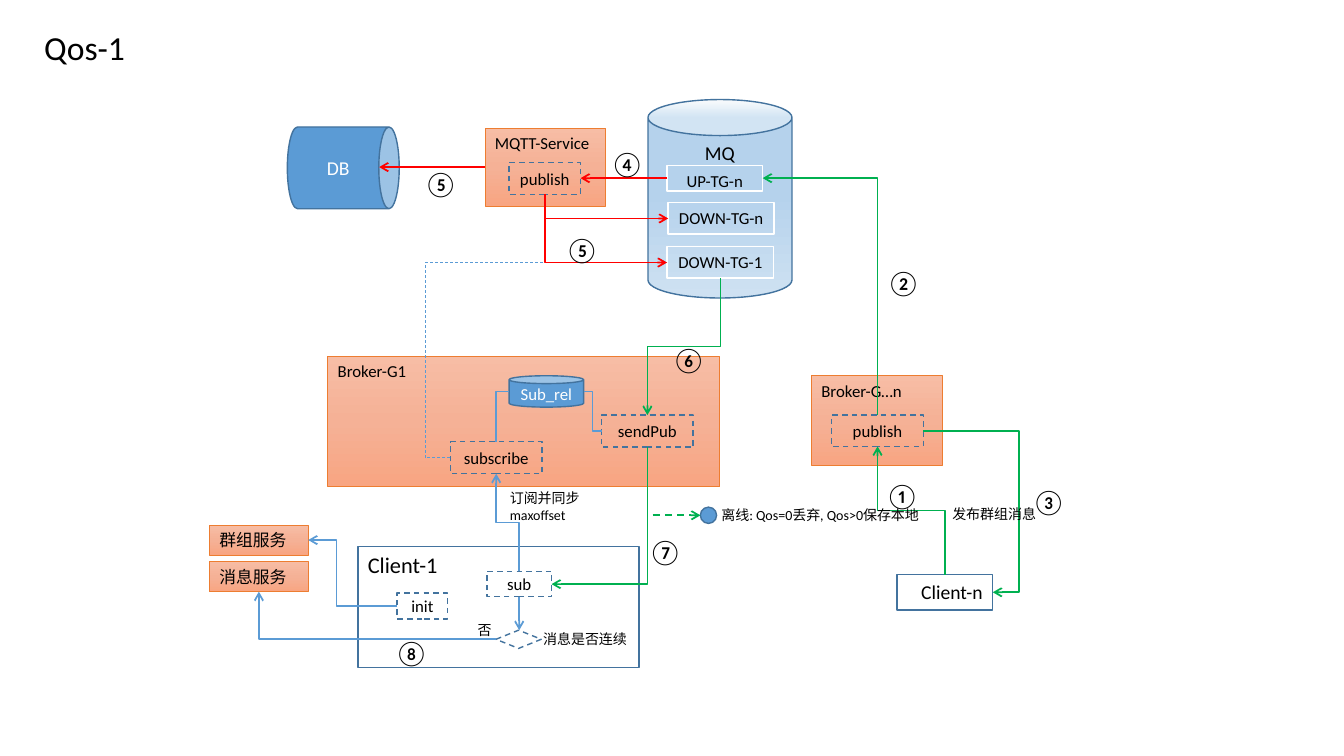
import dataclasses

import lxml.etree
import pptx
import pptx.dml.color
import pptx.enum.dml
import pptx.enum.shapes
import pptx.enum.text
import pptx.oxml.ns
import pptx.util

Cm = pptx.util.Cm
Pt = pptx.util.Pt
qn = pptx.oxml.ns.qn
Kind = pptx.enum.shapes.MSO_SHAPE
Link = pptx.enum.shapes.MSO_CONNECTOR
Align = pptx.enum.text.PP_ALIGN
Anchor = pptx.enum.text.MSO_ANCHOR
DASH = pptx.enum.dml.MSO_LINE.DASH
TOP, LEFT, BASE, RIGHT = (0.5, 0), (0, 0.5), (0.5, 1), (1, 0.5)


@dataclasses.dataclass(frozen=True)
class Theme:
    font: str = "Calibri"
    ink: str = "000000"
    white: str = "FFFFFF"
    blue: str = "5B9BD5"
    navy: str = "43739E"
    rust: str = "ED7D31"
    red: str = "FF0000"
    green: str = "00B050"
    peach: tuple = ((0, "F7BDA5"), (50, "F5B196"), (100, "F8A582"))
    sky: tuple = ((0, "F7FAFD"), (9, "B5D2EC"), (47, "B5D2EC"), (100, "CEE1F2"))
    title: int = 24
    mark: int = 18
    head: int = 16
    large: int = 14
    body: int = 12
    note: int = 10


T = Theme()


@dataclasses.dataclass
class Style:
    fill: str | tuple | None = None
    line: str = T.navy
    width: float = 1
    dash: bool = False
    ink: str = T.ink
    align: int = Align.CENTER
    anchor: int = Anchor.TOP


PANEL = Style(T.peach, T.rust, 0.5, align=Align.LEFT)
TANK = Style(T.sky)
STORE = Style(T.blue, ink=T.white, anchor=Anchor.MIDDLE)
STEP = Style(dash=True, anchor=Anchor.MIDDLE)
QUEUE = Style(line=T.white)


@dataclasses.dataclass
class Box:
    key: str
    text: str
    left: float
    top: float
    width: float
    height: float
    style: Style
    size: int = T.body
    kind: int = Kind.RECTANGLE
    turn: int = 0

    def pin(self, side: tuple) -> tuple:
        return self.left + side[0] * self.width, self.top + side[1] * self.height


@dataclasses.dataclass
class Route:
    start: str
    out: tuple
    end: str
    into: tuple
    color: str
    mid: float | None = None
    width: float = 1.25
    dash: bool = False
    arrow: bool = True


@dataclasses.dataclass
class Note:
    text: str
    left: float
    top: float
    width: float = 1.14
    height: float = 1.02
    size: int = T.mark
    wrap: bool = False


def tint(code: str) -> pptx.dml.color.RGBColor:
    return pptx.dml.color.RGBColor.from_string(code)


def write(frame, text: str, size: int, ink: str, align: int, anchor: int, wrap: bool) -> None:
    frame.text = text
    frame.word_wrap = wrap
    frame.vertical_anchor = anchor
    for para in frame.paragraphs:
        para.alignment = align
        for run in para.runs:
            run.font.name = T.font
            run.font.size = Pt(size)
            run.font.color.rgb = tint(ink)


def stroke(line, color: str, width: float, dash: bool) -> None:
    line.color.rgb = tint(color)
    line.width = Pt(width)
    if dash:
        line.dash_style = DASH


def blend(shape, stops: tuple) -> None:
    shape.fill.gradient()
    shape.fill.gradient_angle = 270
    group = shape._element.spPr.find(".//" + qn("a:gsLst"))
    for old in list(group):
        group.remove(old)
    for place, color in stops:
        stop = lxml.etree.SubElement(group, qn("a:gs"), pos=str(place * 1000))
        lxml.etree.SubElement(stop, qn("a:srgbClr"), val=color)


def draw_box(slide, box: Box) -> None:
    look = box.style
    shape = slide.shapes.add_shape(
        box.kind, Cm(box.left), Cm(box.top), Cm(box.width), Cm(box.height))
    shape.shadow.inherit = False
    if look.fill is None:
        shape.fill.background()
    elif isinstance(look.fill, tuple):
        blend(shape, look.fill)
    else:
        shape.fill.solid()
        shape.fill.fore_color.rgb = tint(look.fill)
    stroke(shape.line, look.line, look.width, look.dash)
    if box.text:
        write(shape.text_frame, box.text, box.size, look.ink, look.align, look.anchor, True)
    if box.turn:
        shape.rotation = box.turn
        shape.text_frame._txBody.bodyPr.set("vert", "vert270")


def draw_route(slide, route: Route, boxes: dict) -> None:
    x1, y1 = boxes[route.start].pin(route.out)
    x2, y2 = boxes[route.end].pin(route.into)
    flat = route.out[1] == 0.5
    same = flat == (route.into[1] == 0.5)
    if same and abs(y2 - y1 if flat else x2 - x1) < 0.1:
        x2, y2 = (x2, y1) if flat else (x1, y2)
        line = slide.shapes.add_connector(Link.STRAIGHT, Cm(x1), Cm(y1), Cm(x2), Cm(y2))
    else:
        line = slide.shapes.add_connector(Link.ELBOW, Cm(x1), Cm(y1), Cm(x2), Cm(y2))
        geom = line._element.spPr.find(qn("a:prstGeom"))
        if not same:
            geom.set("prst", "bentConnector2")
        elif route.mid is not None:
            ratio = (route.mid - x1) / (x2 - x1) if flat else (route.mid - y1) / (y2 - y1)
            lxml.etree.SubElement(geom.find(qn("a:avLst")), qn("a:gd"),
                                  name="adj1", fmla=f"val {round(ratio * 100000)}")
        if not flat:
            wide, high = abs(y2 - y1), abs(x2 - x1)
            line.left, line.top = Cm((x1 + x2 - wide) / 2), Cm((y1 + y2 - high) / 2)
            line.width, line.height = Cm(wide), Cm(high)
            down, back = y2 > y1, x2 < x1
            plain = down and back
            form = line._element.spPr.find(qn("a:xfrm"))
            form.set("rot", str((90 if plain else 270) * 60000))
            form.set("flipH", str(int(down and not plain)))
            form.set("flipV", str(int(back and not plain)))
    stroke(line.line, route.color, route.width, route.dash)
    props = line._element.spPr
    if route.arrow:
        lxml.etree.SubElement(props.find(qn("a:ln")), qn("a:tailEnd"), type="arrow")
    lxml.etree.SubElement(props, qn("a:effectLst"))


def draw_note(slide, note: Note) -> None:
    area = slide.shapes.add_textbox(
        Cm(note.left), Cm(note.top), Cm(note.width), Cm(note.height))
    write(area.text_frame, note.text, note.size, T.ink, Align.LEFT, Anchor.TOP, note.wrap)


BOXES = [
    Box("broker", "Broker-G1", 8.26, 8.97, 9.88, 3.3, PANEL),
    Box("mq", "MQ", 16.33, 2.51, 3.63, 5, TANK, T.large, Kind.CAN),
    Box("mqtt", "MQTT-Service", 12.22, 3.23, 3.05, 1.96, PANEL),
    Box("client", "Client-1", 9.02, 13.77, 7.09, 3.05, Style(align=Align.LEFT), T.head),
    Box("peer", "Broker-G…n", 20.45, 9.47, 3.3, 2.26, PANEL),
    Box("group", "群组服务", 5.28, 13.23, 2.49, 0.76, PANEL),
    Box("message", "消息服务", 5.28, 14.15, 2.49, 0.76, PANEL),
    Box("up", "UP-TG-n", 16.81, 4.17, 2.41, 0.64, QUEUE),
    Box("down n", "DOWN-TG-n", 16.84, 5.11, 2.67, 0.79, QUEUE),
    Box("down 1", "DOWN-TG-1", 16.81, 6.22, 2.69, 0.79, QUEUE),
    Box("sub", "sub", 12.27, 14.4, 1.63, 0.64, STEP),
    Box("subscribe", "subscribe", 11.35, 11.13, 2.31, 0.81, STEP),
    Box("send", "sendPub", 15.16, 10.46, 2.31, 0.81, STEP),
    Box("init", "init", 10.01, 14.94, 1.27, 0.66, STEP),
    Box("check", "", 12.5, 15.88, 1.14, 0.46, STEP, kind=Kind.FLOWCHART_DECISION),
    Box("publish", "publish", 12.83, 4.09, 1.8, 0.81, STEP),
    Box("publish n", "publish", 20.96, 10.46, 2.31, 0.79, STEP),
    Box("client n", "Client-n", 22.61, 14.48, 2.41, 0.89, Style(align=Align.RIGHT), T.large),
    Box("rel", "Sub_rel", 12.83, 9.47, 1.88, 0.79, STORE, kind=Kind.CAN),
    Box("db", "DB", 7.62, 2.82, 2.06, 2.82, STORE, T.large, Kind.CAN, 90),
    Box("offline", "", 17.65, 12.78, 0.41, 0.41, STORE, kind=Kind.FLOWCHART_CONNECTOR),
]

ROUTES = [
    Route("sub", TOP, "subscribe", BASE, T.blue),
    Route("subscribe", LEFT, "down 1", LEFT, T.blue, 10.72, 0.5, True),
    Route("publish", BASE, "down n", LEFT, T.red),
    Route("publish", BASE, "down 1", LEFT, T.red),
    Route("init", LEFT, "group", RIGHT, T.blue, 8.48),
    Route("rel", RIGHT, "send", LEFT, T.blue, arrow=False),
    Route("rel", LEFT, "subscribe", TOP, T.blue, arrow=False),
    Route("down 1", BASE, "send", TOP, T.green),
    Route("send", BASE, "sub", RIGHT, T.green),
    Route("send", BASE, "offline", LEFT, T.green, dash=True),
    Route("sub", BASE, "check", TOP, T.blue),
    Route("check", LEFT, "message", BASE, T.blue),
    Route("client n", TOP, "publish n", BASE, T.green),
    Route("publish n", TOP, "up", RIGHT, T.green),
    Route("publish n", RIGHT, "client n", RIGHT, T.green, 25.68),
    Route("up", LEFT, "publish", RIGHT, T.red),
    Route("mqtt", LEFT, "db", (0.94, 0.5), T.red),
]

NOTES = [
    Note("离线: Qos=0丢弃, Qos>0保存本地", 17.93, 12.65, 5.56, 0.69, T.note, True),
    Note("订阅并同步maxoffset", 12.6, 12.22, 2.59, 1.12, T.note, True),
    Note("消息是否连续", 13.44, 15.77, 2.64, 0.69, T.note),
    Note("否", 11.79, 15.54, 0.86, 0.69, T.note),
    Note("发布群组消息", 23.75, 12.62, 2.64, 0.69, T.note),
    Note("①", 22.07, 11.99),
    Note("②", 22.1, 6.6),
    Note("③", 25.76, 12.12),
    Note("④", 15.14, 3.61),
    Note("⑤", 14, 5.79),
    Note("⑤", 10.44, 4.11),
    Note("⑥", 16.69, 8.56),
    Note("⑦", 16.1, 13.39),
    Note("⑧", 9.7, 15.93),
]

deck = pptx.Presentation()
deck.slide_width, deck.slide_height = Cm(33.87), Cm(19.05)
slide = deck.slides.add_slide(deck.slide_layouts[5])
title = slide.shapes.title
title.left, title.top, title.width, title.height = Cm(0.86), Cm(0.56), Cm(2.57), Cm(1.27)
write(title.text_frame, "Qos-1", T.title, T.ink, Align.LEFT, Anchor.TOP, False)

for box in BOXES:
    draw_box(slide, box)
places = {box.key: box for box in BOXES}
for route in ROUTES:
    draw_route(slide, route, places)
for note in NOTES:
    draw_note(slide, note)

deck.save("out.pptx")
